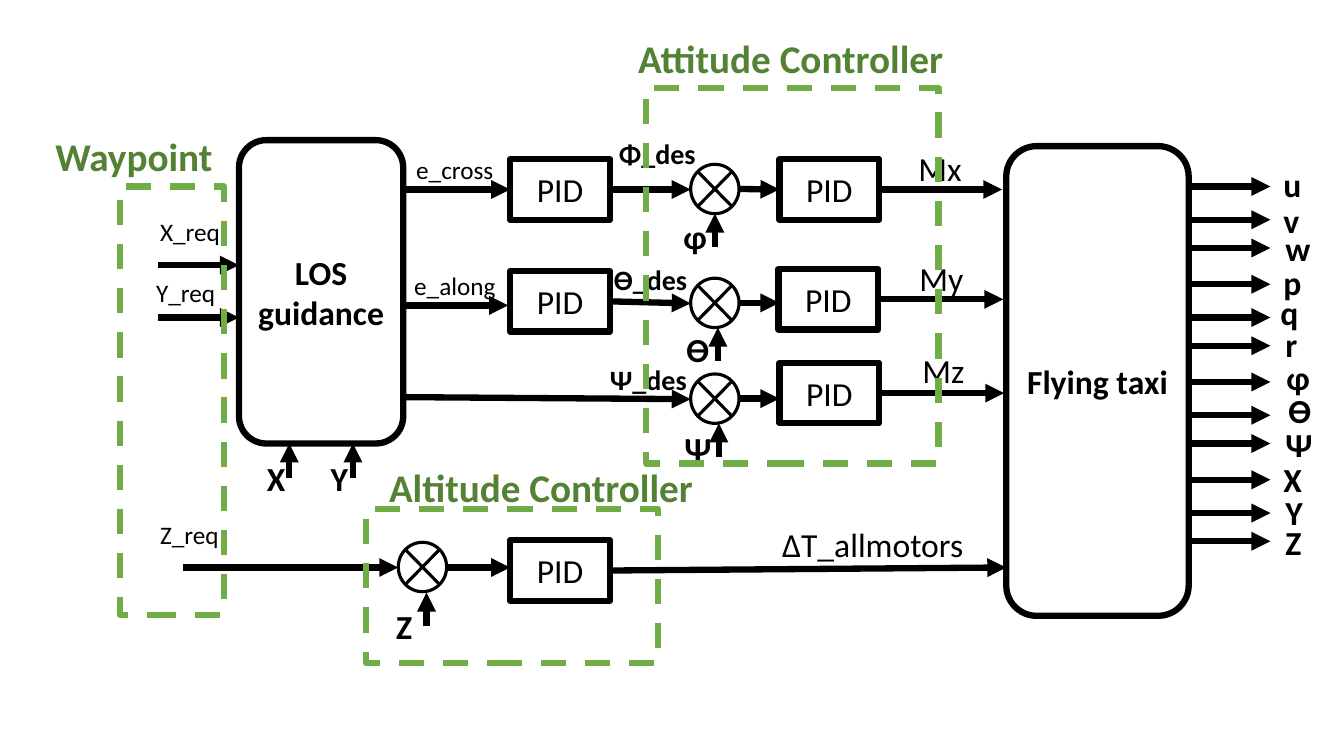
import math
from dataclasses import dataclass

import pptx
import pptx.util
import pptx.dml.color
import pptx.enum.dml
import pptx.enum.shapes
import pptx.enum.text
import pptx.oxml
import pptx.oxml.ns
from pptx.util import Inches

COLORS = {"ink": "000000", "paper": "FFFFFF", "frame": "70AD47", "title": "548235"}
SHAPES = pptx.enum.shapes.MSO_SHAPE
PID_SIZE = (0.99, 0.6)
JUNCTION_SIZE = (0.48, 0.49)
JOIN_REACH = 0.025


@dataclass
class Box:
    left: float
    top: float
    width: float
    height: float

    def at(self, dx, dy):
        return self.left + dx, self.top + dy


def rgb(name):
    return pptx.dml.color.RGBColor.from_string(COLORS[name])


def write(frame, text, size=24, bold=False, color="ink", align=None):
    paragraph = frame.paragraphs[0]
    paragraph.text = text
    paragraph.alignment = align
    for run in paragraph.runs:
        run.font.name = "Calibri"
        run.font.size = pptx.util.Pt(size)
        run.font.bold = bold
        run.font.color.rgb = rgb(color)


def label(slide, text, spot, width=0.4, height=0.5, wrap=True, **style):
    area = slide.shapes.add_textbox(*map(Inches, (*spot, width, height)))
    area.text_frame.word_wrap = wrap
    area.text_frame.auto_size = pptx.enum.text.MSO_AUTO_SIZE.SHAPE_TO_FIT_TEXT
    write(area.text_frame, text, **style)


def block(slide, kind, spot, size, text="", bold=False, weight=4.5):
    shape = slide.shapes.add_shape(kind, *map(Inches, (*spot, *size)))
    shape.shadow.inherit = False
    shape.fill.solid()
    shape.fill.fore_color.rgb = rgb("paper")
    shape.line.color.rgb = rgb("ink")
    shape.line.width = pptx.util.Pt(weight)
    if text:
        shape.text_frame.vertical_anchor = pptx.enum.text.MSO_ANCHOR.MIDDLE
        write(shape.text_frame, text, bold=bold, align=pptx.enum.text.PP_ALIGN.CENTER)
    return shape


def pid(slide, spot):
    return block(slide, SHAPES.RECTANGLE, spot, PID_SIZE, "PID")


def junction(slide, spot):
    block(slide, SHAPES.FLOWCHART_SUMMING_JUNCTION, spot, JUNCTION_SIZE, weight=2.25)


def meets_side(shape, side, point):
    """True when the point lies at the middle of the left (1) or right (3) side."""
    x = shape.left + (shape.width if side == 3 else 0)
    y = shape.top + shape.height / 2
    return math.dist((x, y), tuple(map(Inches, point))) < Inches(JOIN_REACH)


def arrow(slide, start, end, source=None, target=None):
    straight = pptx.enum.shapes.MSO_CONNECTOR.STRAIGHT
    line = slide.shapes.add_connector(straight, *map(Inches, (*start, *end)))
    line.line.color.rgb = rgb("ink")
    line.line.width = pptx.util.Pt(4.5)
    qn = pptx.oxml.ns.qn
    properties = line._element.spPr
    head = properties.find(qn("a:ln")).makeelement(qn("a:tailEnd"), {"type": "triangle"})
    properties.find(qn("a:ln")).append(head)
    properties.append(properties.makeelement(qn("a:effectLst"), {}))
    if source is not None and meets_side(source, 3, start):
        line.begin_connect(source, 3)
    if target is not None and meets_side(target, 1, end):
        line.end_connect(target, 1)


def group_frame(slide, box, title, offset, width):
    frame = slide.shapes.add_shape(
        SHAPES.RECTANGLE, *map(Inches, (box.left, box.top, box.width, box.height)))
    frame.shadow.inherit = False
    frame.fill.background()
    frame.line.color.rgb = rgb("frame")
    frame.line.width = pptx.util.Pt(4.5)
    frame.line.dash_style = pptx.enum.dml.MSO_LINE.DASH
    label(slide, title, box.at(*offset), width, 0.57, wrap=False,
          size=28, bold=True, color="title")


def draw_guidance(slide, box):
    block(slide, SHAPES.ROUNDED_RECTANGLE, box.at(0, 0), (box.width, box.height),
          "LOS\vguidance", bold=True)
    # Position errors, their controllers and the desired angles
    errors = [("e_cross", (1.66, 0.09), 0.97, 0.19, (1.66, 2.69), 0.49, 0.49),
              ("e_along", (1.64, 1.24), 1.02, 1.30, (1.64, 2.67), 1.64, 1.62)]
    for name, spot, width, pid_top, (start, end), error_y, angle_y in errors:
        controller = pid(slide, box.at(2.69, pid_top))
        arrow(slide, box.at(start, error_y), box.at(end, error_y), target=controller)
        arrow(slide, box.at(3.67, angle_y), box.at(4.48, angle_y), source=controller)
        label(slide, name, box.at(*spot), width, 0.4, wrap=False, size=18)
    arrow(slide, box.at(1.64, 2.55), box.at(4.48, 2.57))
    # Measured position
    for name, x in (("X", 0.5), ("Y", 1.13)):
        arrow(slide, box.at(x, 3.35), box.at(x, box.height))
        label(slide, name, box.at(x - 0.32, 3.1), bold=True)


def draw_waypoint(slide, box):
    requests = [("X_req", (0.30, 0.25), 0.38, 1.18, 0.78),
                ("Y_req", (0.26, 0.85), 0.38, 1.18, 1.30),
                ("Z_req", (0.30, 3.25), 0.63, 2.76, 3.78)]
    for name, spot, start, end, y in requests:
        arrow(slide, box.at(start, y), box.at(end, y))
        label(slide, name, box.at(*spot), 0.96, 0.4, size=18)
    group_frame(slide, box, "Waypoint", (-0.74, -0.59), 1.77)


def draw_altitude(slide, box):
    junction(slide, box.at(0.32, 0.33))
    controller = pid(slide, box.at(1.43, 0.31))
    arrow(slide, box.at(0.80, 0.58), box.at(1.43, 0.58), target=controller)
    arrow(slide, box.at(2.41, 0.61), box.at(6.35, 0.58), source=controller)
    arrow(slide, box.at(0.60, 1.16), box.at(0.60, 0.83))
    label(slide, "Z", box.at(0.20, 0.91), bold=True)
    label(slide, "ΔT_allmotors", box.at(4.03, 0.10), 2)
    group_frame(slide, box, "Altitude Controller", (0.13, -0.5), 3.25)


def draw_attitude(slide, box):
    # Junction top, PID corner, angle, measured arrow x, label spots, moment
    loops = [(0.76, (1.32, 0.71), "φ", 0.68, (0.27, 1.22), "Φ_des", (-0.37, 0.44),
              "Mx", (2.60, 0.55), 3.53),
             (1.89, (1.31, 1.80), "ϴ", 0.71, (0.30, 2.34), "ϴ_des", (-0.42, 1.69),
              "My", (2.61, 1.64), 3.54),
             (2.84, (1.32, 2.73), "Ѱ", 0.72, (0.28, 3.33), "Ѱ_des", (-0.46, 2.68),
              "Mz", (2.64, 2.55), 3.55)]
    for (top, corner, angle, angle_x, angle_spot, desired, desired_spot,
         moment, moment_spot, moment_end) in loops:
        junction(slide, box.at(0.44, top))
        controller = pid(slide, box.at(*corner))
        error_y = top + JUNCTION_SIZE[1] / 2
        moment_y = corner[1] + PID_SIZE[1] / 2
        bottom = top + JUNCTION_SIZE[1]
        arrow(slide, box.at(0.92, error_y), box.at(1.32, error_y), target=controller)
        arrow(slide, box.at(corner[0] + PID_SIZE[0], moment_y),
              box.at(moment_end, moment_y), source=controller)
        arrow(slide, box.at(angle_x, bottom + 0.33), box.at(angle_x, bottom))
        label(slide, angle, box.at(*angle_spot), bold=True)
        label(slide, desired, box.at(*desired_spot), 1.01, 0.44, size=20, bold=True)
        label(slide, moment, box.at(*moment_spot), 0.64, wrap=False)
    group_frame(slide, box, "Attitude Controller", (-0.18, -0.58), 3.25)


def draw_taxi(slide, box):
    block(slide, SHAPES.ROUNDED_RECTANGLE, box.at(0, 0), (box.width, box.height),
          "Flying taxi", bold=True)
    # Twelve states in four groups of three
    states = [("u", 2.65, 0.13), ("v", 2.65, 0.48), ("w", 2.67, 0.76),
              ("p", 2.65, 1.10), ("q", 2.62, 1.40), ("r", 2.67, 1.71),
              ("φ", 2.68, 2.04), ("ϴ", 2.70, 2.37), ("Ѱ", 2.67, 2.71),
              ("X", 2.65, 3.05), ("Y", 2.67, 3.38), ("Z", 2.67, 3.68)]
    for index, (state, x, y) in enumerate(states):
        group, member = divmod(index, 3)
        arrow_y = 0.4 + 0.97 * group + (0, 0.33, 0.61)[member]
        arrow(slide, box.at(box.width, arrow_y), box.at(2.62, arrow_y))
        label(slide, state, box.at(x, y), bold=True)


def main():
    deck = pptx.Presentation()
    deck.slide_width, deck.slide_height = Inches(13.33), Inches(7.5)
    slide = deck.slides.add_slide(deck.slide_layouts[6])
    draw_guidance(slide, Box(2.37, 1.39, 1.63, 3.01))
    draw_taxi(slide, Box(9.98, 1.45, 1.81, 4.66))
    draw_waypoint(slide, Box(1.19, 1.85, 1.03, 4.25))
    draw_altitude(slide, Box(3.63, 5.05, 2.9, 1.53))
    draw_attitude(slide, Box(6.41, 0.87, 2.9, 3.73))
    deck.save("out.pptx")


if __name__ == "__main__":
    main()
